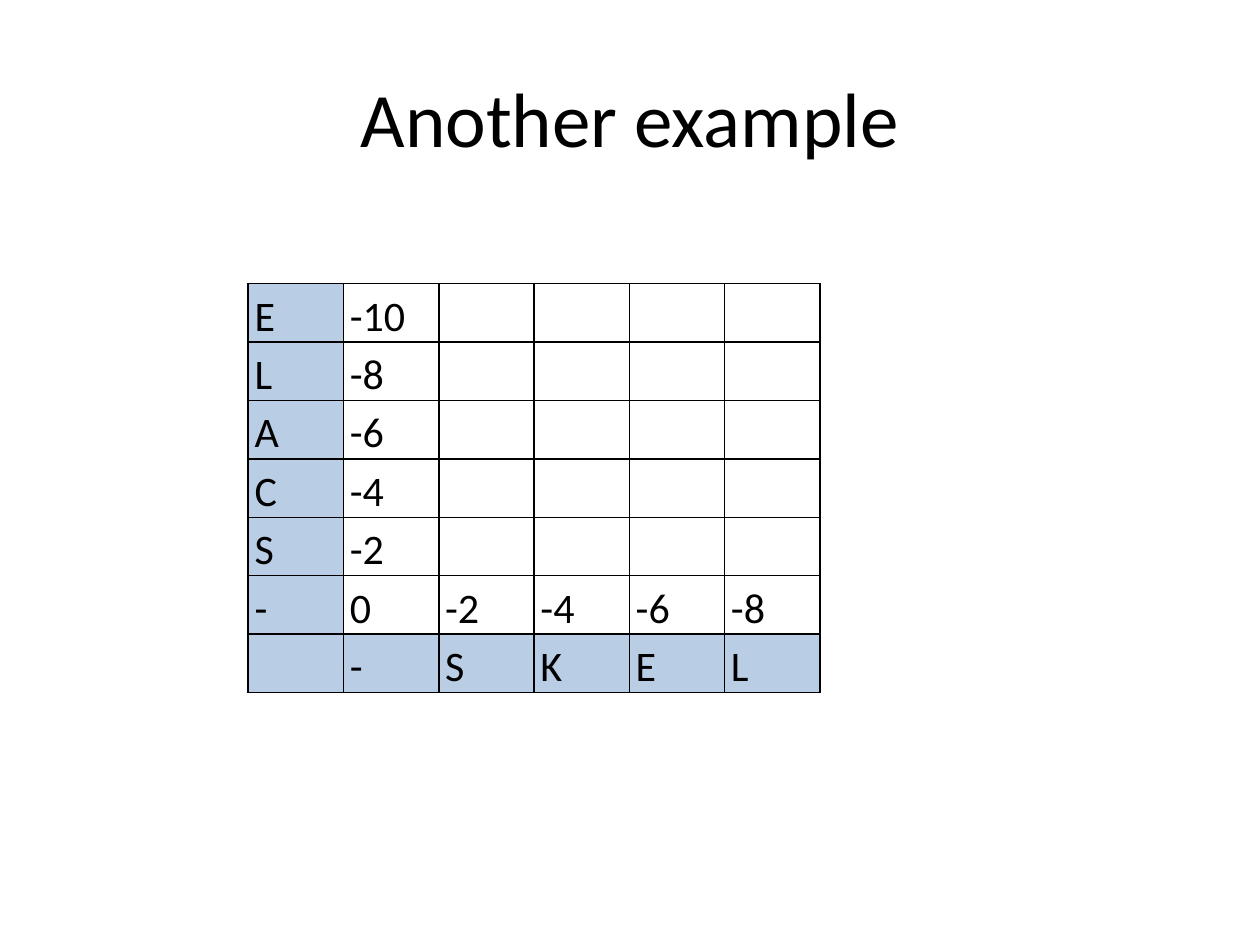
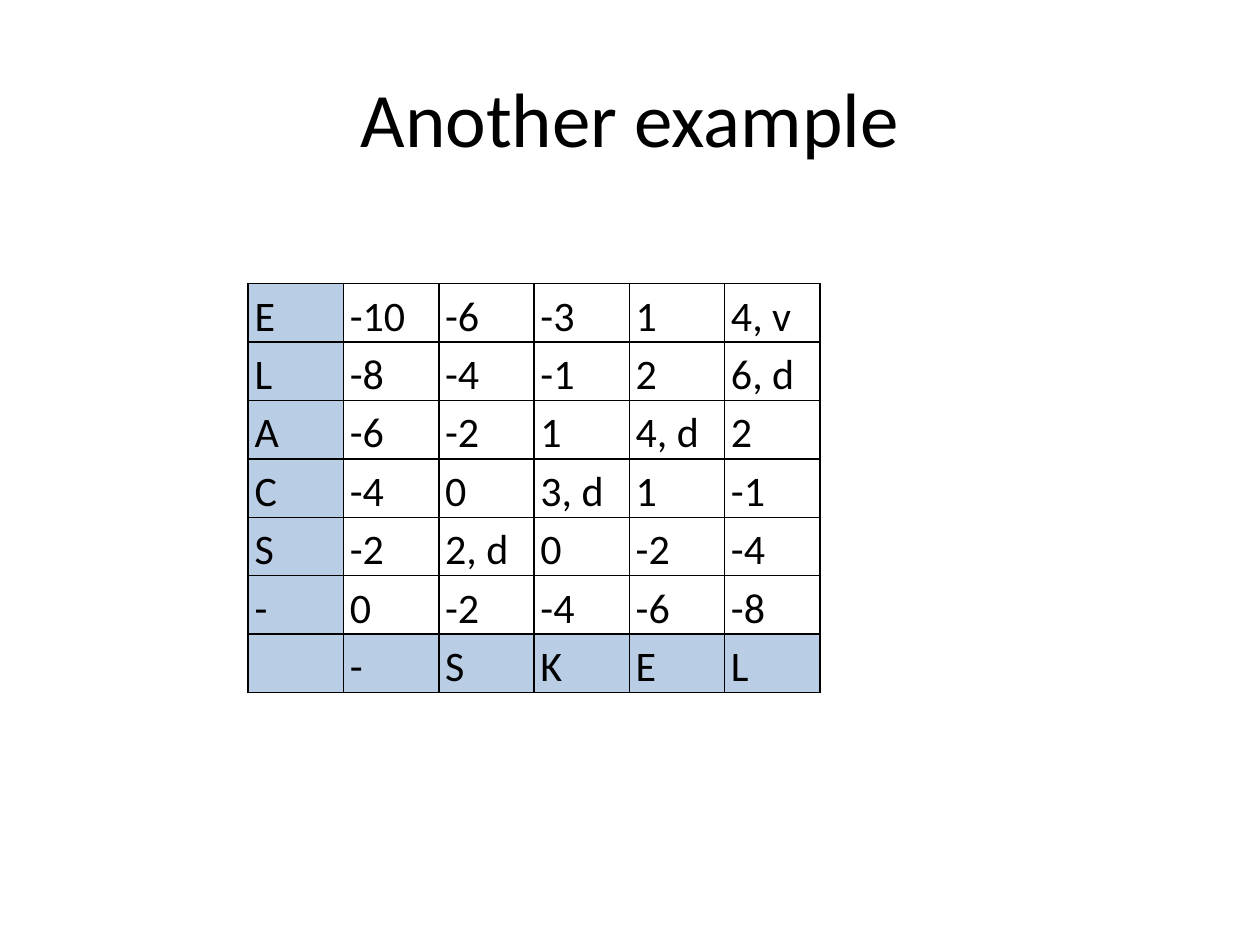
"""Build two slides that show an alignment score matrix before and after filling."""
import dataclasses

import lxml.etree
import pptx
import pptx.dml.color
import pptx.enum.text
import pptx.oxml.ns
import pptx.util


@dataclasses.dataclass(frozen=True)
class Theme:
    font: str = "Calibri"
    ink: str = "000000"
    label_fill: str = "B9CDE5"
    title_size: int = 44
    cell_size: int = 24
    cell_spacing: float = 1.15
    border_width: int = 1


theme = Theme()
title_text = "Another example"
matrix = [
    ["E", "-10", "-6", "-3", "1", "4, v"],
    ["L", "-8", "-4", "-1", "2", "6, d"],
    ["A", "-6", "-2", "1", "4, d", "2"],
    ["C", "-4", "0", "3, d", "1", "-1"],
    ["S", "-2", "2, d", "0", "-2", "-4"],
    ["-", "0", "-2", "-4", "-6", "-8"],
    ["", "-", "S", "K", "E", "L"],
]
row_count, column_count = len(matrix), len(matrix[0])
label_row = row_count - 1
gap_row = label_row - 1
gap_column = 1


def style_paragraph(para, size):
    for span in para.runs:
        span.font.name = theme.font
        span.font.size = pptx.util.Pt(size)
        span.font.color.rgb = pptx.dml.color.RGBColor.from_string(theme.ink)


def draw_borders(cell):
    properties = cell._tc.get_or_add_tcPr()
    for side in ("a:lnL", "a:lnR", "a:lnT", "a:lnB"):
        line = lxml.etree.SubElement(properties, pptx.oxml.ns.qn(side))
        line.set("w", str(pptx.util.Pt(theme.border_width)))
        fill = lxml.etree.SubElement(line, pptx.oxml.ns.qn("a:solidFill"))
        color = lxml.etree.SubElement(fill, pptx.oxml.ns.qn("a:srgbClr"))
        color.set("val", theme.ink)


deck = pptx.Presentation()
deck.slide_width = pptx.util.Inches(10)
deck.slide_height = pptx.util.Inches(7.5)
width, height = deck.slide_width, deck.slide_height
blank_layout = deck.slide_layouts[6]

title_area = (int(width * 0.05), int(height * 0.04), int(width * 0.9), int(height / 6))
table_left, table_top = int(width * 0.197), int(height * 0.3)
table_width, table_height = int(width * 0.454), int(height * 0.433)

for scores_shown in (False, True):
    page = deck.slides.add_slide(blank_layout)

    box = page.shapes.add_textbox(*title_area)
    box.text_frame.word_wrap = True
    box.text_frame.vertical_anchor = pptx.enum.text.MSO_ANCHOR.MIDDLE
    box.text_frame.text = title_text
    para = box.text_frame.paragraphs[0]
    para.alignment = pptx.enum.text.PP_ALIGN.CENTER
    style_paragraph(para, theme.title_size)

    table = page.shapes.add_table(
        row_count, column_count, table_left, table_top, table_width, table_height
    ).table
    table.first_row = False
    table.horz_banding = False

    for row, values in enumerate(matrix):
        for column, value in enumerate(values):
            cell = table.cell(row, column)
            cell.margin_left = cell.margin_right = pptx.util.Inches(0.05)
            cell.margin_top = cell.margin_bottom = 0
            draw_borders(cell)
            if row == label_row or column == 0:
                cell.fill.solid()
                cell.fill.fore_color.rgb = pptx.dml.color.RGBColor.from_string(theme.label_fill)
            else:
                cell.fill.background()
            is_given = row >= gap_row or column <= gap_column
            if value and (scores_shown or is_given):
                cell.text_frame.text = value
                para = cell.text_frame.paragraphs[0]
                para.line_spacing = theme.cell_spacing
                style_paragraph(para, theme.cell_size)

deck.save("out.pptx")
